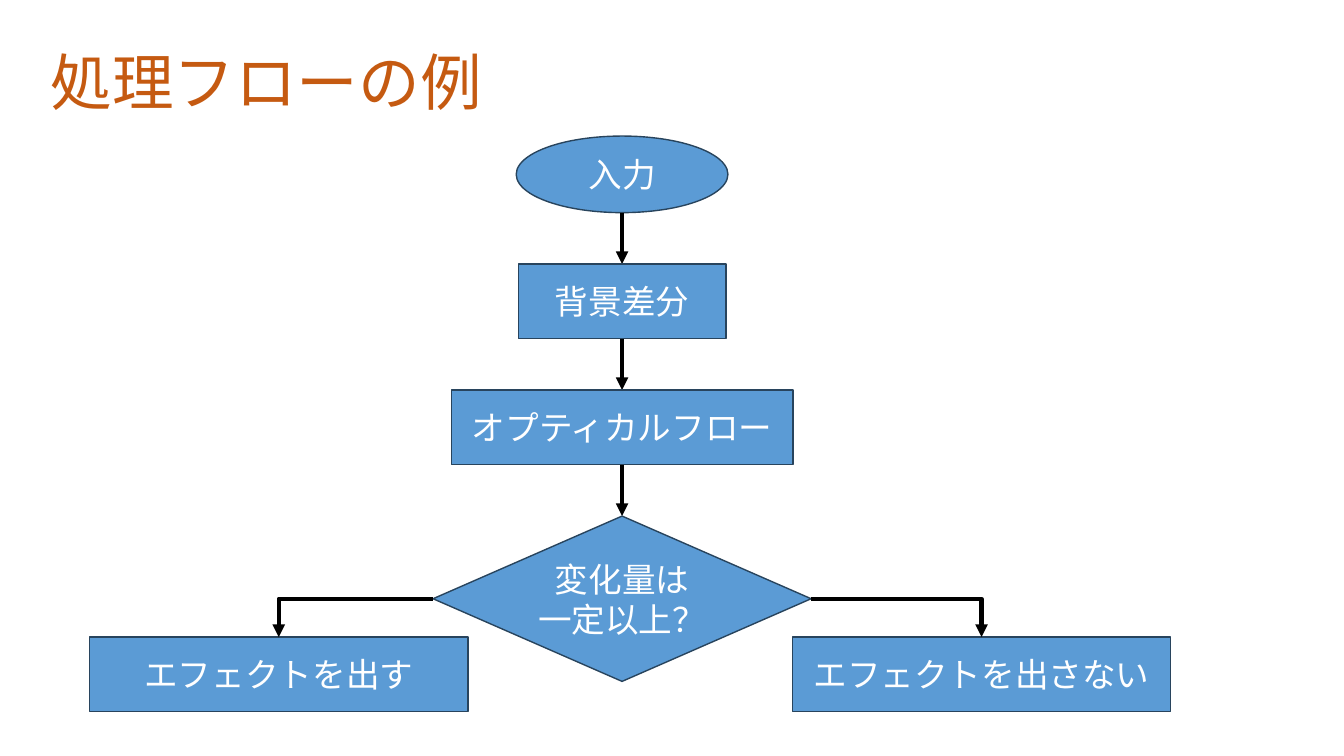
import pptx
import pptx.util
import pptx.dml.color
import pptx.enum.shapes
import pptx.enum.text
import pptx.oxml.ns
import lxml.etree

Kind = pptx.enum.shapes.MSO_SHAPE
Link = pptx.enum.shapes.MSO_CONNECTOR
Align = pptx.enum.text.PP_ALIGN
Anchor = pptx.enum.text.MSO_ANCHOR
qn = pptx.oxml.ns.qn

# Content
TITLE = "処理フローの例"
STEPS = [  # shape, width, height, lines
    (Kind.OVAL, 210, 76, ["入力"]),
    (Kind.RECTANGLE, 206, 74, ["背景差分"]),
    (Kind.RECTANGLE, 339, 74, ["オプティカルフロー"]),
    (Kind.DIAMOND, 375, 164, ["変化量は", "一定以上？"]),
]
ENDS = [  # left edge, lines
    (89, ["エフェクトを出す"]),
    (786, ["エフェクトを出さない"]),
]

# Style and layout, 100 px to the inch
COLORS = {"title": "C55A11", "fill": "5B9BD5", "edge": "28445D",
          "text": "FFFFFF", "arrow": "000000"}
FONT = "Noto Sans CJK JP"
SCALE = 9144
MID, TOP, GAP = 617, 135, 51
END_TOP, END_W, END_H = 632, 375, 74


def px(n):
    return pptx.util.Emu(round(n * SCALE))


def color(name):
    return pptx.dml.color.RGBColor.from_string(COLORS[name])


def add_run(para, text, size, face, tint):
    run = para.add_run()
    run.text = text
    run.font.size = pptx.util.Pt(size)
    run.font.name = face
    run.font.color.rgb = color(tint)
    east = lxml.etree.SubElement(run.font._element, qn("a:ea"))
    east.set("typeface", FONT)


def add_box(kind, left, top, wide, high, lines):
    box = slide.shapes.add_shape(kind, px(left), px(top), px(wide), px(high))
    box.shadow.inherit = False
    box.fill.solid()
    box.fill.fore_color.rgb = color("fill")
    box.line.color.rgb = color("edge")
    box.line.width = pptx.util.Pt(1)
    frame = box.text_frame
    frame.word_wrap = True
    frame.vertical_anchor = Anchor.MIDDLE
    para = frame.paragraphs[0]
    para.alignment = Align.CENTER
    for i, line in enumerate(lines):
        if i:
            para.add_line_break()
        add_run(para, line, 24, FONT, "text")


def add_arrow(kind, x1, y1, x2, y2):
    arrow = slide.shapes.add_connector(kind, px(x1), px(y1), px(x2), px(y2))
    arrow.line.color.rgb = color("arrow")
    arrow.line.width = pptx.util.Pt(3)
    props = arrow._element.spPr
    if kind == Link.ELBOW:  # a single corner
        props.find(qn("a:prstGeom")).set("prst", "bentConnector2")
    head = lxml.etree.SubElement(props.find(qn("a:ln")), qn("a:tailEnd"))
    head.set("type", "triangle")
    lxml.etree.SubElement(props, qn("a:effectLst"))


# Slide and title
deck = pptx.Presentation()
deck.slide_width, deck.slide_height = px(1333), px(750)
slide = deck.slides.add_slide(deck.slide_layouts[5])
title = slide.shapes.title
title.left, title.top, title.width, title.height = map(px, (40, 34, 1257, 101))
title.text_frame.vertical_anchor = Anchor.MIDDLE
para = title.text_frame.paragraphs[0]
para.alignment = Align.LEFT
para.line_spacing = 0.9
add_run(para, TITLE, 44, "Courier New", "title")

# Steps down the middle, each joined to the one above
y = TOP
for i, (kind, wide, high, lines) in enumerate(STEPS):
    if i:
        add_arrow(Link.STRAIGHT, MID, y - GAP, MID, y)
    add_box(kind, MID - wide / 2, y, wide, high, lines)
    y += high + GAP

# Two outcomes, joined to the sides of the decision
fork = y - GAP - high / 2
for left, lines in ENDS:
    add_box(Kind.RECTANGLE, left, END_TOP, END_W, END_H, lines)
    end = left + END_W / 2
    side = MID - wide / 2 if end < MID else MID + wide / 2
    add_arrow(Link.ELBOW, side, fork, end, END_TOP)

deck.save("out.pptx")
